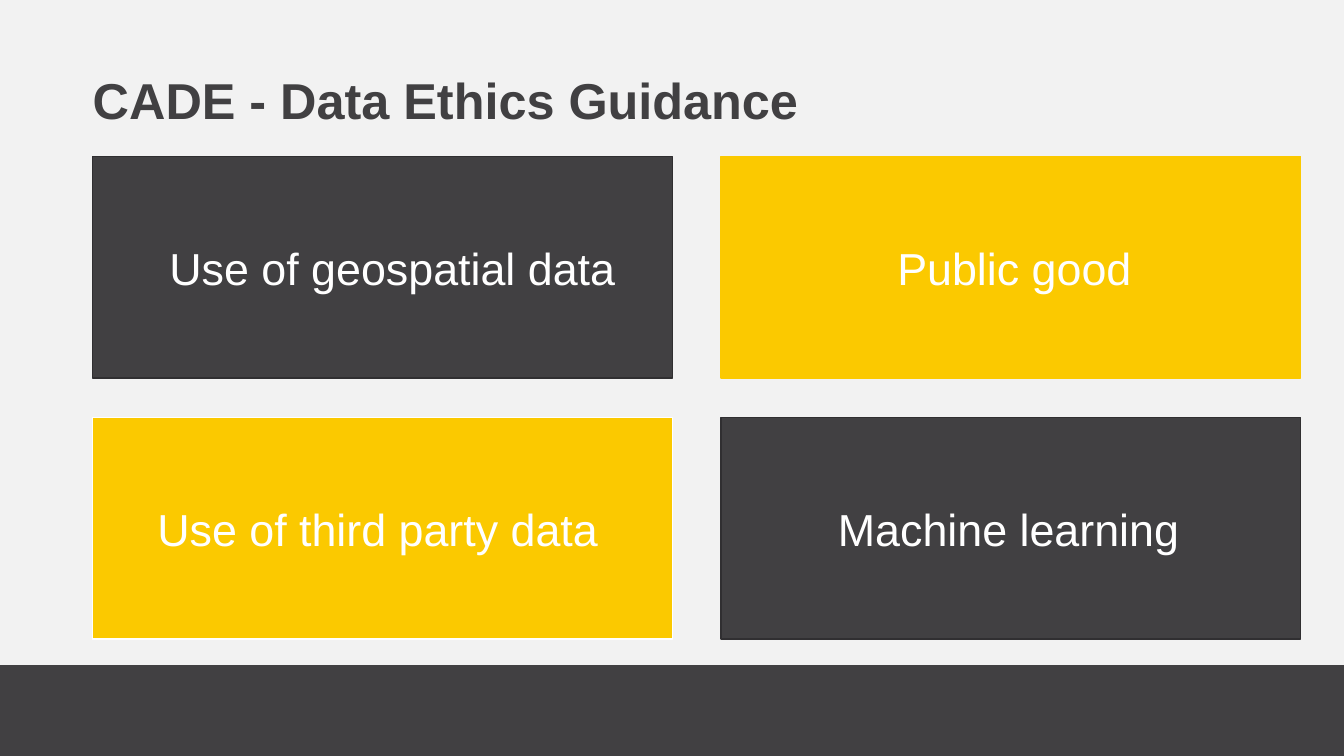
from dataclasses import dataclass
from typing import Any

import pptx
import pptx.dml.color
import pptx.enum.shapes
import pptx.enum.text
import pptx.util

Inches = pptx.util.Inches
Anchor = pptx.enum.text.MSO_ANCHOR

CHARCOAL = pptx.dml.color.RGBColor(0x41, 0x40, 0x42)
CHARCOAL_EDGE = pptx.dml.color.RGBColor(0x30, 0x2F, 0x31)
YELLOW = pptx.dml.color.RGBColor(0xFB, 0xC9, 0x00)
WHITE = pptx.dml.color.RGBColor(0xFF, 0xFF, 0xFF)
PALE_GREY = pptx.dml.color.RGBColor(0xF2, 0xF2, 0xF2)

# Slide and panel grid, in inches
SLIDE_WIDTH, SLIDE_HEIGHT = 13.33, 7.5
FOOTER_TOP = 0.88 * SLIDE_HEIGHT
GRID_LEFT, GRID_TOP = 0.92, 1.55
PANEL_WIDTH, PANEL_HEIGHT = 5.75, 2.2
COLUMN_GAP, ROW_GAP = 0.48, 0.39
LABEL_DROP, LABEL_HEIGHT = 0.78, 0.64


@dataclass(frozen=True)
class Box:
    left: float
    top: float
    width: float
    height: float

    def lengths(self) -> list[int]:
        return [Inches(v) for v in (self.left, self.top, self.width, self.height)]


@dataclass(frozen=True)
class Panel:
    text: str
    column: int
    row: int
    indent: float
    fill: pptx.dml.color.RGBColor
    edge: pptx.dml.color.RGBColor

    def box(self) -> Box:
        return Box(GRID_LEFT + self.column * (PANEL_WIDTH + COLUMN_GAP),
                   GRID_TOP + self.row * (PANEL_HEIGHT + ROW_GAP),
                   PANEL_WIDTH, PANEL_HEIGHT)

    def label_box(self) -> Box:
        panel = self.box()
        return Box(panel.left + self.indent, panel.top + LABEL_DROP,
                   panel.width - self.indent, LABEL_HEIGHT)


PANELS = [
    Panel("Use of geospatial data", 0, 0, 0.76, CHARCOAL, CHARCOAL_EDGE),
    Panel("Public good", 1, 0, 1.75, YELLOW, YELLOW),
    Panel("Use of third party data", 0, 1, 0.64, YELLOW, WHITE),
    Panel("Machine learning", 1, 1, 1.16, CHARCOAL, CHARCOAL_EDGE),
]

TITLE_FONT = {"name": "Arial", "size": pptx.util.Pt(36), "bold": True}
LABEL_FONT = {"name": "Arial", "size": pptx.util.Pt(32), "bold": False}
TITLE_FRAME = {"word_wrap": True, "vertical_anchor": Anchor.TOP,
               "margin_left": 0, "margin_right": 0,
               "margin_top": 0, "margin_bottom": 0}
LABEL_FRAME = {"word_wrap": True, "vertical_anchor": Anchor.BOTTOM,
               "margin_left": 0, "margin_right": Inches(0.1),
               "margin_top": Inches(0.05), "margin_bottom": Inches(0.05)}
TITLE_PARAGRAPH = {"line_spacing": 0.95, "space_after": pptx.util.Pt(10)}


def apply_format(target: Any, values: dict[str, Any]) -> None:
    for name, value in values.items():
        setattr(target, name, value)


def add_rectangle(slide: Any, box: Box, fill: pptx.dml.color.RGBColor,
                  edge: pptx.dml.color.RGBColor | None = None) -> None:
    shape = slide.shapes.add_shape(
        pptx.enum.shapes.MSO_SHAPE.RECTANGLE, *box.lengths())
    shape.shadow.inherit = False
    shape.fill.solid()
    shape.fill.fore_color.rgb = fill
    if edge is None:
        shape.line.fill.background()
    else:
        shape.line.color.rgb = edge
        shape.line.width = pptx.util.Pt(1)


def add_text(slide: Any, box: Box, text: str, color: pptx.dml.color.RGBColor,
             font: dict[str, Any], frame: dict[str, Any],
             paragraph_format: dict[str, Any]) -> None:
    text_frame = slide.shapes.add_textbox(*box.lengths()).text_frame
    apply_format(text_frame, frame)
    paragraph = text_frame.paragraphs[0]
    apply_format(paragraph, paragraph_format)
    run = paragraph.add_run()
    run.text = text
    apply_format(run.font, font)
    run.font.color.rgb = color


def main() -> None:
    presentation = pptx.Presentation()
    presentation.slide_width = Inches(SLIDE_WIDTH)
    presentation.slide_height = Inches(SLIDE_HEIGHT)
    slide = presentation.slides.add_slide(presentation.slide_layouts[6])
    slide.background.fill.solid()
    slide.background.fill.fore_color.rgb = PALE_GREY

    # Footer band and title
    add_rectangle(slide, Box(0, FOOTER_TOP, SLIDE_WIDTH, SLIDE_HEIGHT - FOOTER_TOP),
                  CHARCOAL)
    add_text(slide, Box(GRID_LEFT, 0.73, 11.5, 0.58), "CADE - Data Ethics Guidance",
             CHARCOAL, TITLE_FONT, TITLE_FRAME, TITLE_PARAGRAPH)

    # Guidance panels with their labels
    for panel in PANELS:
        add_rectangle(slide, panel.box(), panel.fill, panel.edge)
        add_text(slide, panel.label_box(), panel.text, WHITE,
                 LABEL_FONT, LABEL_FRAME, {})

    presentation.save("out.pptx")


if __name__ == "__main__":
    main()
